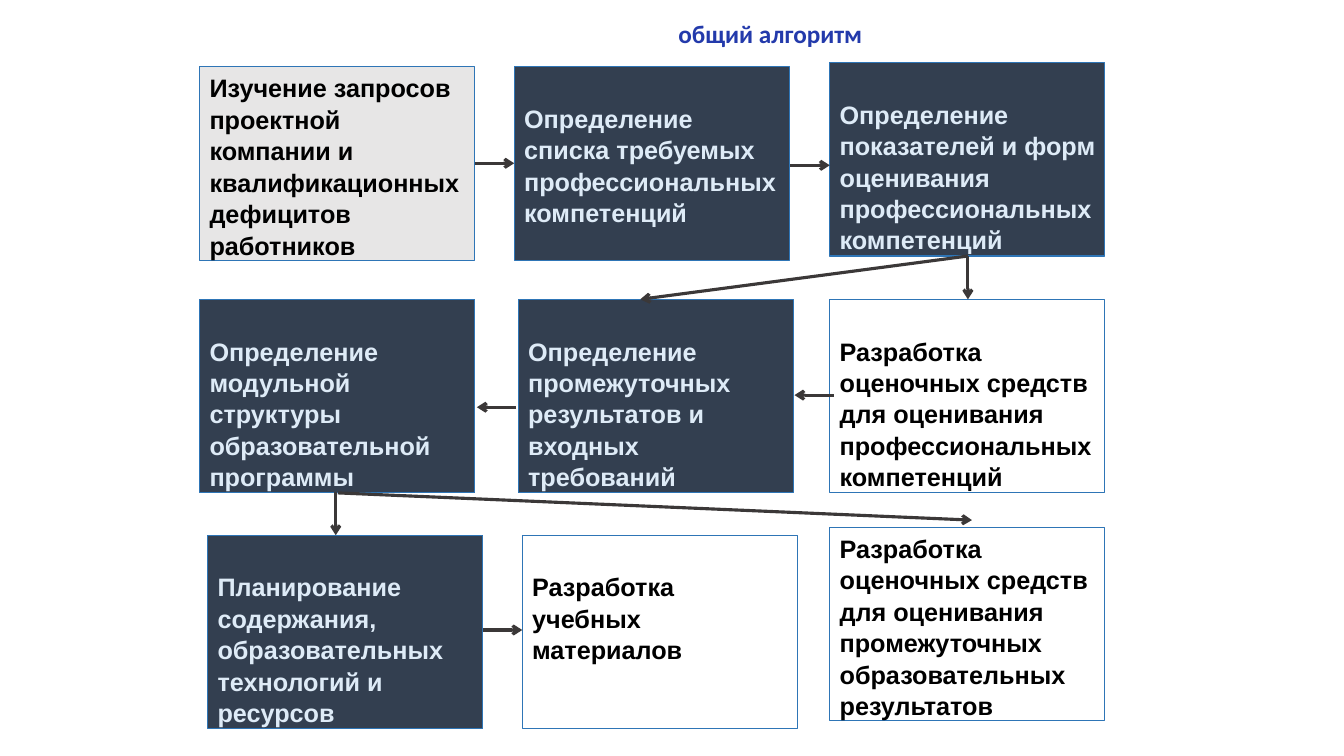
from pptx import Presentation
from pptx.dml.color import RGBColor
from pptx.enum.shapes import MSO_CONNECTOR, MSO_SHAPE
from pptx.enum.text import MSO_ANCHOR, PP_ALIGN
from pptx.oxml.ns import qn
from pptx.util import Inches, Pt
from lxml.etree import SubElement

BLACK = RGBColor(0x00, 0x00, 0x00)
GREY = RGBColor(0xE7, 0xE6, 0xE6)
NAVY = RGBColor(0x33, 0x3F, 0x50)
PALE_BLUE = RGBColor(0xDE, 0xEB, 0xF7)
BORDER_BLUE = RGBColor(0x2E, 0x75, 0xB6)
ARROW_GREY = RGBColor(0x3B, 0x38, 0x38)
TITLE_BLUE = RGBColor(0x23, 0x3A, 0xAB)

BOX_WIDTH, BOX_HEIGHT = 2.73, 1.92
TOP_INSET = 0.05
LOWERED_INSET = 0.35

STEPS = [
    (1.98, 0.66, GREY, TOP_INSET,
     "Изучение запросов проектной компании и квалификационных дефицитов работников"),
    (5.1, 0.66, NAVY, LOWERED_INSET,
     "Определение списка требуемых профессиональных компетенций"),
    (8.23, 0.62, NAVY, LOWERED_INSET,
     "Определение показателей и форм оценивания профессиональных компетенций"),
    (8.23, 2.97, None, LOWERED_INSET,
     "Разработка оценочных средств для оценивания профессиональных компетенций"),
    (5.14, 2.97, NAVY, LOWERED_INSET,
     "Определение промежуточных результатов и входных требований"),
    (1.98, 2.97, NAVY, LOWERED_INSET,
     "Определение модульной структуры образовательной программы"),
    (2.06, 5.31, NAVY, LOWERED_INSET,
     "Планирование содержания, образовательных технологий и ресурсов"),
    (5.18, 5.31, None, LOWERED_INSET,
     "Разработка учебных материалов"),
    (8.23, 5.23, None, TOP_INSET,
     "Разработка оценочных средств для оценивания промежуточных образовательных результатов"),
]

ARROWS = [
    (4.71, 1.62, 5.1, 1.62),
    (7.84, 1.64, 8.23, 1.64),
    (9.6, 2.54, 9.6, 2.97),
    (9.6, 2.54, 6.35, 2.97),
    (8.27, 3.92, 7.88, 3.92),
    (5.12, 4.04, 4.73, 4.04),
    (3.33, 4.88, 3.33, 5.31),
    (3.35, 4.89, 9.64, 5.16),
    (4.79, 6.25, 5.18, 6.25),
]


def write_text(shape, text, font_name, color):
    frame = shape.text_frame
    frame.word_wrap = True
    frame.vertical_anchor = MSO_ANCHOR.TOP
    paragraph = frame.paragraphs[0]
    paragraph.text = text
    paragraph.alignment = PP_ALIGN.LEFT
    font = paragraph.font
    font.name = font_name
    font.size = Pt(18)
    font.bold = True
    font.color.rgb = color
    return paragraph


def add_step(slide, left, top, fill, inset, text):
    shape = slide.shapes.add_shape(
        MSO_SHAPE.RECTANGLE, Inches(left), Inches(top),
        Inches(BOX_WIDTH), Inches(BOX_HEIGHT))
    shape.shadow.inherit = False
    shape.line.color.rgb = BORDER_BLUE
    shape.line.width = Pt(0.75)
    if fill is None:
        shape.fill.background()
    else:
        shape.fill.solid()
        shape.fill.fore_color.rgb = fill
    dark = fill == NAVY
    paragraph = write_text(shape, text, "Arial", PALE_BLUE if dark else BLACK)
    paragraph.line_spacing = 1.04
    shape.text_frame.margin_top = Inches(inset)
    shape.text_frame.margin_right = Inches(0.06 if dark else 0.1)


def add_arrow(slide, start_x, start_y, end_x, end_y):
    connector = slide.shapes.add_connector(
        MSO_CONNECTOR.STRAIGHT, Inches(start_x), Inches(start_y),
        Inches(end_x), Inches(end_y))
    connector.line.color.rgb = ARROW_GREY
    connector.line.width = Pt(2.25)
    properties = connector.element.spPr
    SubElement(properties.find(qn("a:ln")), qn("a:tailEnd"), type="arrow")
    SubElement(properties, qn("a:effectLst"))


def add_title(slide, text):
    title = slide.shapes.add_textbox(
        Inches(6.63), Inches(0.13), Inches(4.88), Inches(0.4))
    write_text(title, text, "Calibri", TITLE_BLUE)


def main():
    presentation = Presentation()
    presentation.slide_width = Inches(13.33)
    presentation.slide_height = Inches(7.5)
    slide = presentation.slides.add_slide(presentation.slide_layouts[6])
    for step in STEPS:
        add_step(slide, *step)
    for arrow in ARROWS:
        add_arrow(slide, *arrow)
    add_title(slide, "общий алгоритм")
    presentation.save("out.pptx")


if __name__ == "__main__":
    main()
